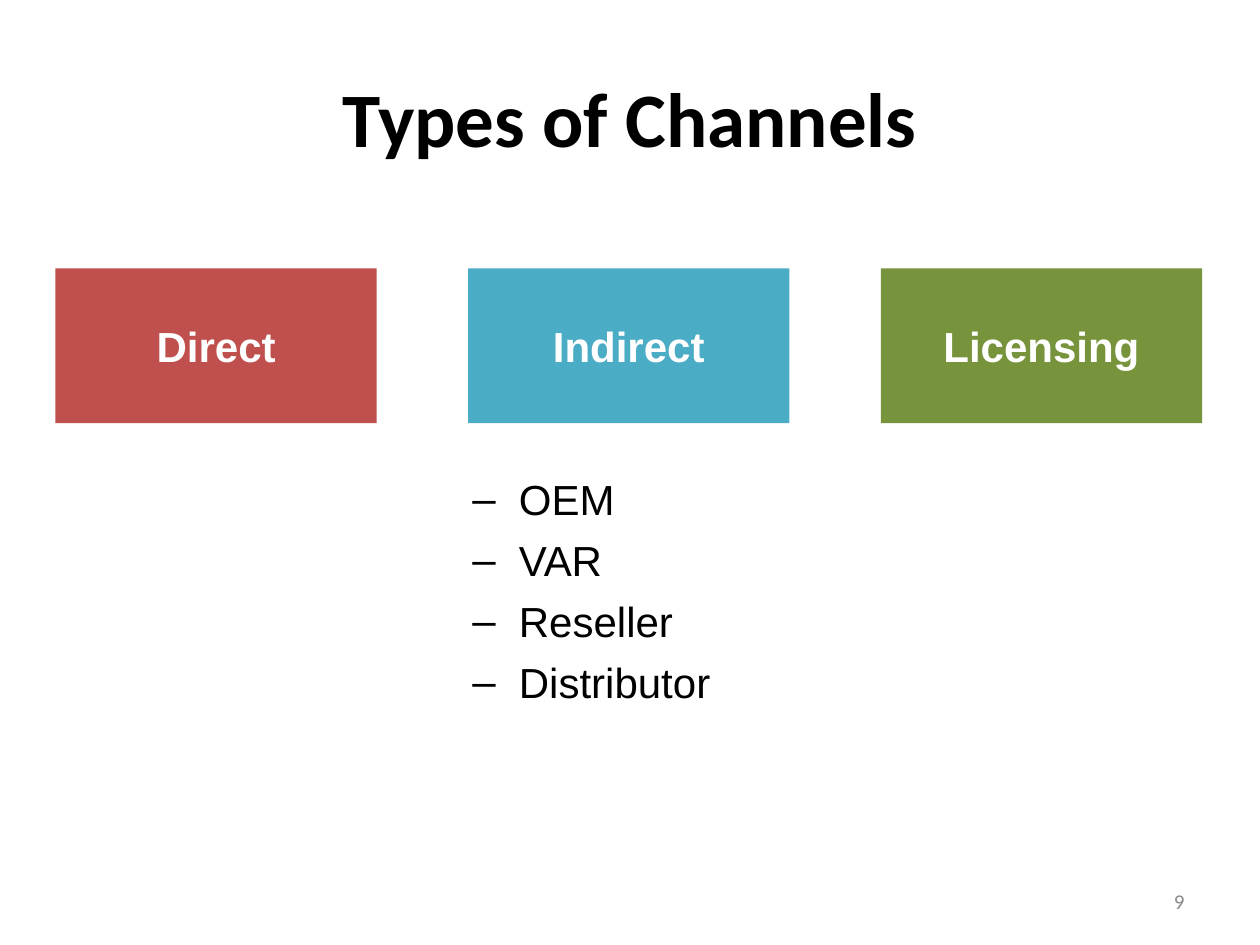
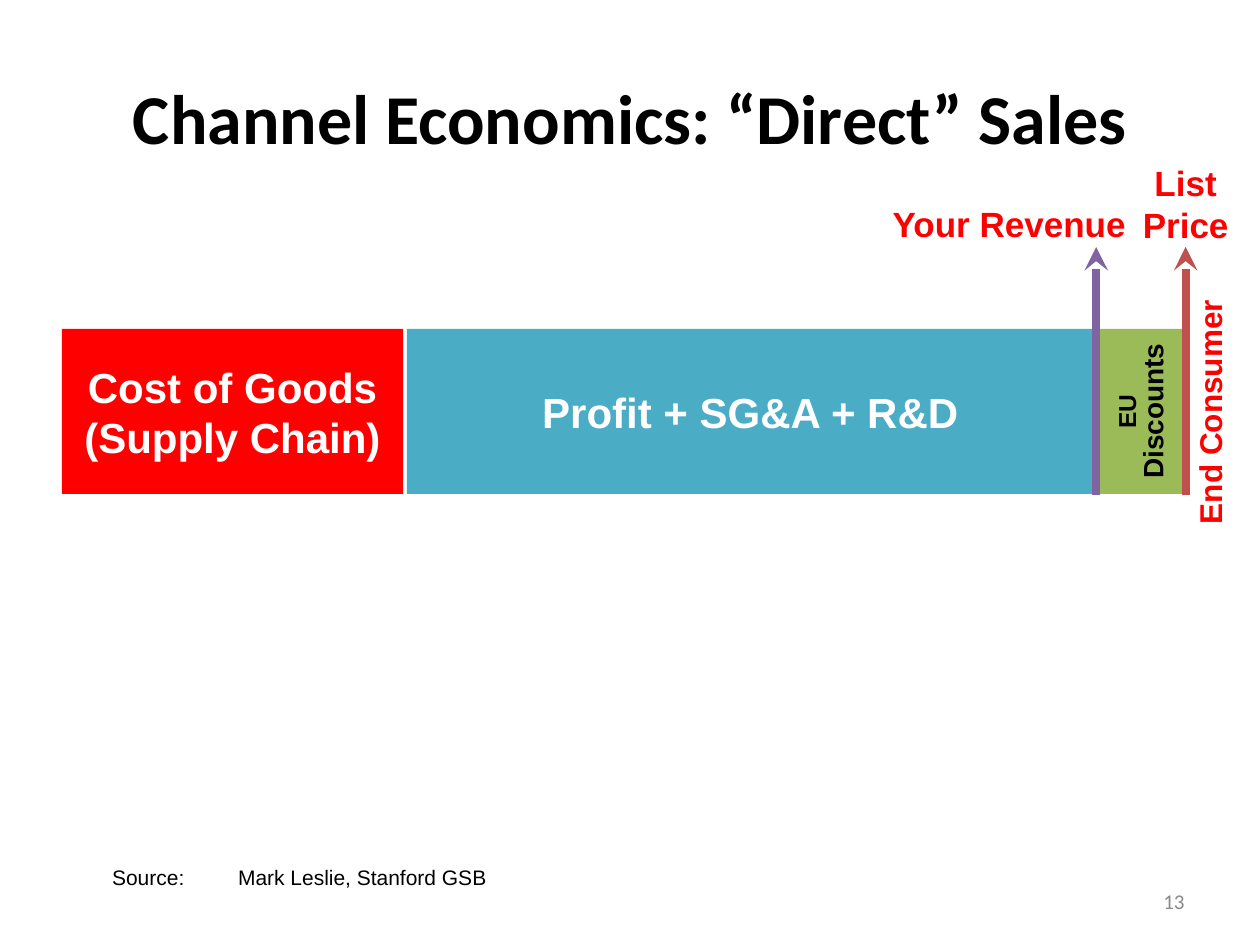
from dataclasses import dataclass

from lxml import etree
from pptx import Presentation
from pptx.dml.color import RGBColor
from pptx.enum.shapes import MSO_CONNECTOR, MSO_SHAPE
from pptx.enum.text import MSO_ANCHOR, PP_ALIGN
from pptx.oxml.ns import qn
from pptx.util import Inches, Pt

LEFT, MID, RIGHT = PP_ALIGN.LEFT, PP_ALIGN.CENTER, PP_ALIGN.RIGHT
TOP, MIDDLE = MSO_ANCHOR.TOP, MSO_ANCHOR.MIDDLE
RECT, STRAIGHT = MSO_SHAPE.RECTANGLE, MSO_CONNECTOR.STRAIGHT


@dataclass(frozen=True)
class Theme:
    head: str = "Calibri"
    body: str = "Arial"
    black: str = "000000"
    white: str = "FFFFFF"
    grey: str = "898989"
    brick: str = "C0504D"
    teal: str = "4BACC6"
    olive: str = "77933C"
    lime: str = "9BBB59"
    red: str = "FF0000"
    violet: str = "8064A2"
    big: int = 24
    label: int = 20
    side: int = 18
    tight: int = 16
    tiny: int = 14
    note: int = 12
    stroke: float = 4.5


T = Theme()


def rgb(color):
    return RGBColor.from_string(color)


def place(shape, box):
    shape.left, shape.top, shape.width, shape.height = map(Inches, box)


def add_run(para, text, size, color, bold=False, face=T.body):
    """Add text to a paragraph, with a line break at each newline."""
    for i, line in enumerate(text.split("\n")):
        if i:
            para.add_line_break()
        run = para.add_run()
        run.text = line
        font = run.font
        font.name, font.size, font.bold = face, Pt(size), bold
        font.color.rgb = rgb(color)


def add_box(slide, box, inset=True, anchor=TOP):
    shape = slide.shapes.add_textbox(*map(Inches, box))
    frame = shape.text_frame
    frame.word_wrap = True
    frame.vertical_anchor = anchor
    if not inset:
        frame.margin_left = frame.margin_right = 0
        frame.margin_top = frame.margin_bottom = 0
    return shape


def hang(para, indent):
    props = para._p.get_or_add_pPr()
    props.set("marL", str(Inches(indent)))
    props.set("indent", str(-Inches(indent)))
    return props


def add_slide(deck, title, size, number):
    slide = deck.slides.add_slide(deck.slide_layouts[5])
    head = slide.shapes.title
    place(head, (0.5, 0.3, 9, 1.25))
    head.text_frame.vertical_anchor = MIDDLE
    para = head.text_frame.paragraphs[0]
    para.alignment = MID
    add_run(para, title, size, T.black, True, T.head)

    foot = add_box(slide, (7.17, 6.95, 2.33, 0.4), anchor=MIDDLE)
    para = foot.text_frame.paragraphs[0]
    para.alignment = RIGHT
    add_run(para, number, T.note, T.grey, face=T.head)
    return slide


def add_block(slide, box, fill, runs):
    """Draw a filled rectangle with centred bold runs of (text, size, color)."""
    shape = slide.shapes.add_shape(RECT, *map(Inches, box))
    shape.shadow.inherit = False
    shape.fill.solid()
    shape.fill.fore_color.rgb = rgb(fill)
    shape.line.fill.background()
    frame = shape.text_frame
    frame.word_wrap = True
    frame.vertical_anchor = MIDDLE
    para = frame.paragraphs[0]
    para.alignment = MID
    for text, size, color in runs:
        add_run(para, text, size, color, True)
    return shape


def add_label(slide, box, text, size=T.label, turn=0):
    shape = add_box(slide, box, inset=False)
    shape.rotation = turn
    para = shape.text_frame.paragraphs[0]
    para.alignment = MID
    add_run(para, text, size, T.red, True)


def add_arrow(slide, x, base, tip, color):
    line = slide.shapes.add_connector(
        STRAIGHT, *map(Inches, (x, base, x, tip)))
    line.line.width = Pt(T.stroke)
    line.line.color.rgb = rgb(color)
    etree.SubElement(line.line._get_or_add_ln(), qn("a:tailEnd"),
                     type="stealth")
    etree.SubElement(line._element.spPr, qn("a:effectLst"))


def add_types(slide, box):
    """Spread the channel types evenly over the width of the box."""
    left, top, width, height = box
    types = (("Direct", T.brick), ("Indirect", T.teal),
             ("Licensing", T.olive))
    block = 2.55
    step = (width - block) / (len(types) - 1)
    for i, (name, fill) in enumerate(types):
        add_block(slide, (left + i * step, top, block, height), fill,
                  [(name, T.big, T.white)])


def add_list(slide, box, items):
    frame = add_box(slide, box).text_frame
    for i, item in enumerate(items):
        para = frame.add_paragraph() if i else frame.paragraphs[0]
        props = hang(para, 0.37)
        etree.SubElement(props, qn("a:buFont"), typeface=T.body)
        etree.SubElement(props, qn("a:buChar"), char="–")
        if i:
            para.space_before = Pt(6)
        add_run(para, item, T.big, T.black)


def add_price(slide, box):
    """Split the list price into blocks, with arrows at the price levels."""
    left, top, width, height = box
    gap, cost, cut = 0.03, 2.71, 0.69
    start = left + cost + gap
    end = left + width
    split = end - cut
    add_block(slide, (left, top, cost, height), T.red,
              [("Cost of Goods\n(Supply Chain)", T.big, T.white)])
    add_block(slide, (start, top, split - gap - start, height), T.teal,
              [("Profit + SG&A + R&D", T.big, T.white)])
    offer = add_block(slide, (split, top, cut, height), T.lime,
                      [("EU ", T.tiny, T.black),
                       ("Discounts", T.tight, T.black)])
    frame = offer.text_frame
    frame._txBody.bodyPr.set("vert", "vert270")
    frame.paragraphs[0].line_spacing = Pt(T.tight)

    for x, color in ((split - 0.01, T.violet), (end + 0.01, T.brick)):
        add_arrow(slide, x, top + height + 0.01, top - 0.65, color)
    add_label(slide, (split - 1.74, top - 1, 2.08, 0.34), "Your Revenue")
    add_label(slide, (end - 0.4, top - 1.33, 0.82, 0.67), "List\nPrice")
    add_label(slide, (end - 0.93, top + 0.51, 2.26, 0.3),
              "End Consumer", T.side, 270)


def add_source(slide, box, text):
    para = add_box(slide, box, inset=False).text_frame.paragraphs[0]
    tabs = etree.SubElement(hang(para, 0.63), qn("a:tabLst"))
    etree.SubElement(tabs, qn("a:tab"), pos=str(Inches(0.56)), algn="r")
    para.alignment = LEFT
    add_run(para, text, T.note, T.black)


def main():
    deck = Presentation()
    deck.slide_width, deck.slide_height = Inches(10), Inches(7.5)

    slide = add_slide(deck, "Types of Channels", 44, "9")
    add_types(slide, (0.44, 2.13, 9.1, 1.23))
    add_list(slide, (3.65, 3.71, 3.36, 1.95),
             ("OEM", "VAR", "Reseller", "Distributor"))

    slide = add_slide(deck, "Channel Economics: “Direct” Sales", 40, "13")
    add_price(slide, (0.49, 2.61, 8.91, 1.31))
    add_source(slide, (0.26, 6.86, 9.49, 0.2),
               "\tSource:\tMark Leslie, Stanford GSB")

    deck.save("out.pptx")


if __name__ == "__main__":
    main()
